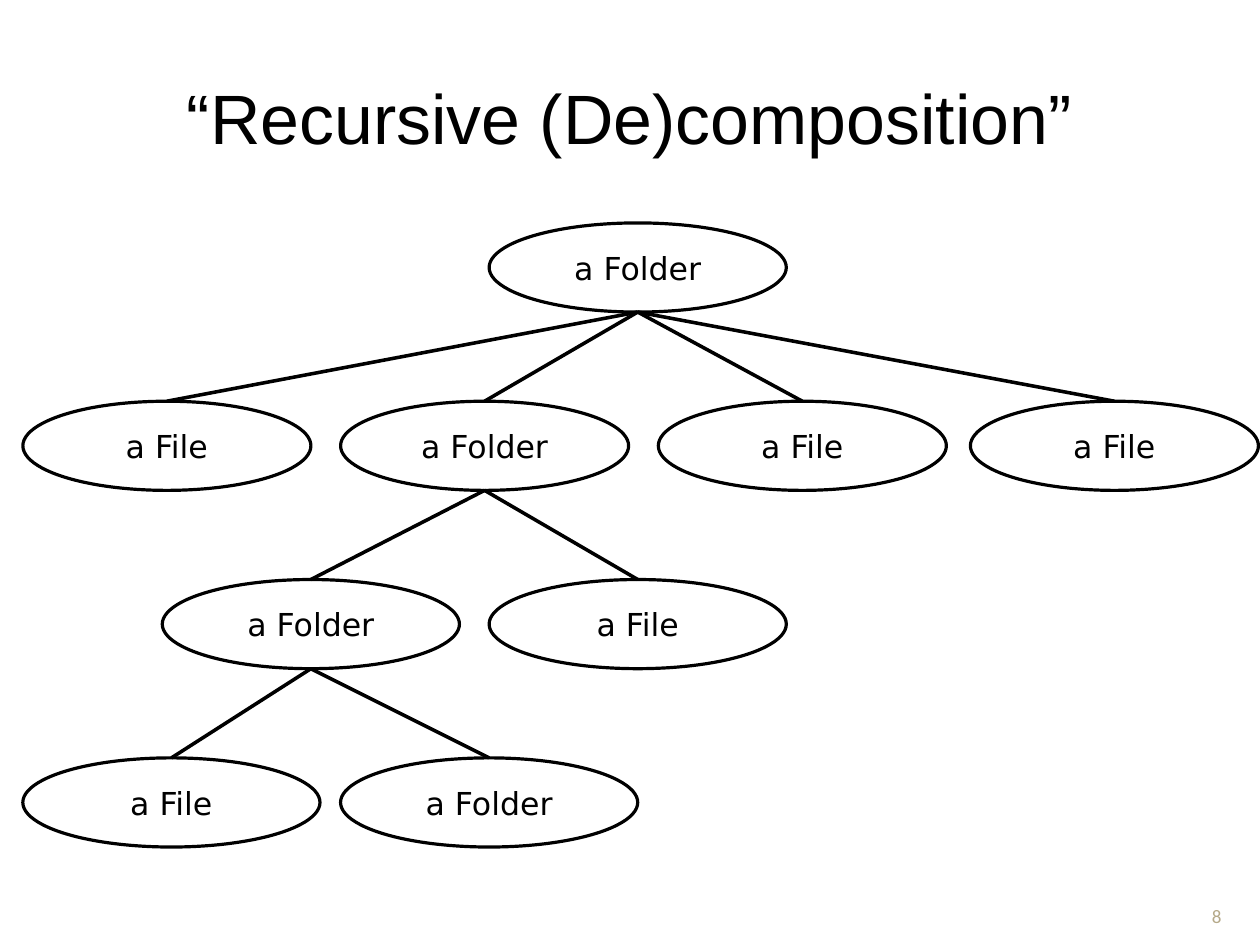
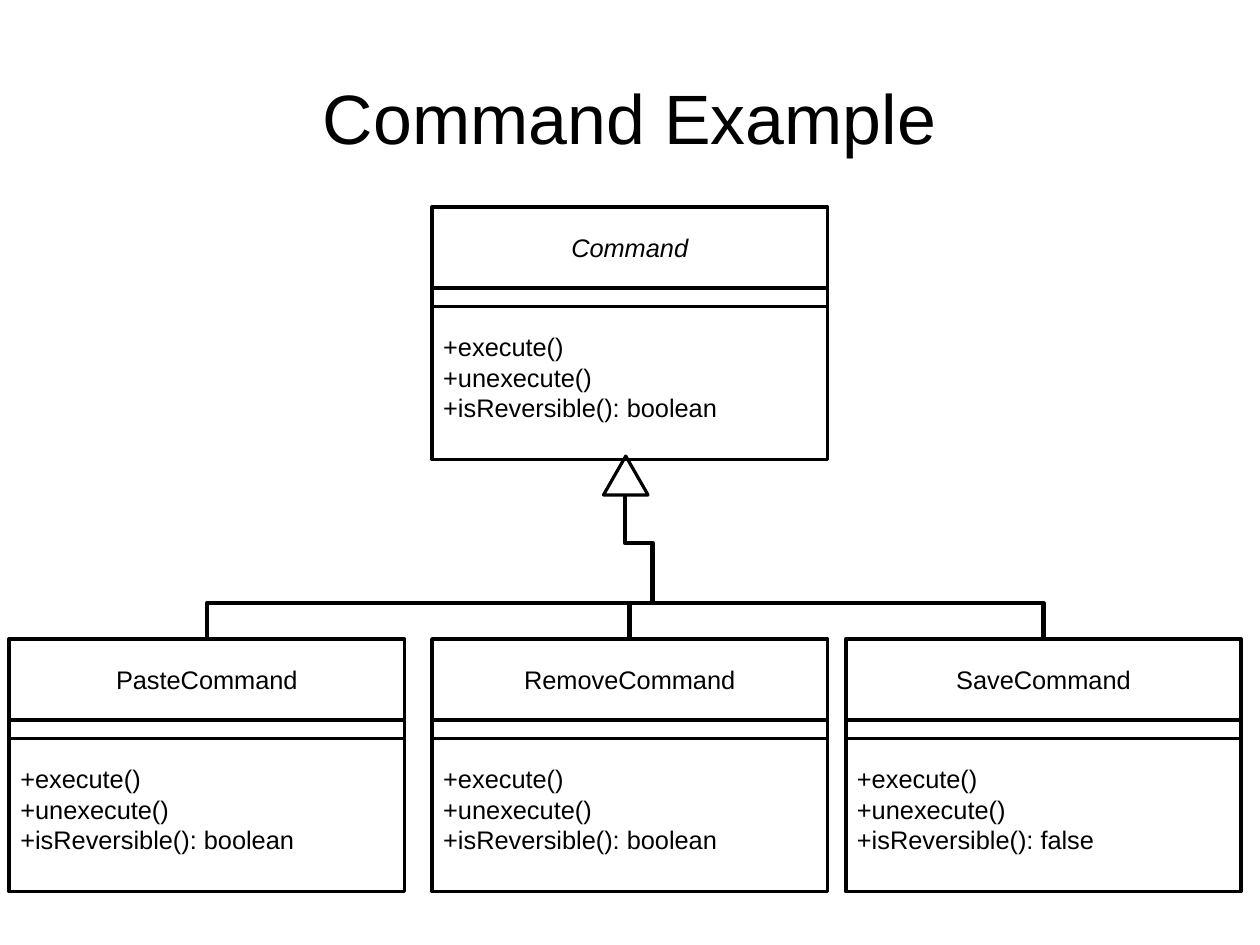
from dataclasses import dataclass

from lxml import etree
from pptx import Presentation
from pptx.dml.color import RGBColor
from pptx.enum.shapes import MSO_CONNECTOR, MSO_SHAPE
from pptx.enum.text import MSO_ANCHOR, PP_ALIGN
from pptx.oxml.ns import qn
from pptx.util import Inches, Pt

STRAIGHT, ELBOW = MSO_CONNECTOR.STRAIGHT, MSO_CONNECTOR.ELBOW
OVAL, RECTANGLE = MSO_SHAPE.OVAL, MSO_SHAPE.RECTANGLE
TRIANGLE = MSO_SHAPE.ISOSCELES_TRIANGLE
LEFT, CENTER = PP_ALIGN.LEFT, PP_ALIGN.CENTER
MIDDLE, BOTTOM = MSO_ANCHOR.MIDDLE, MSO_ANCHOR.BOTTOM
TOP_SITE = 0


@dataclass(frozen=True)
class Theme:
    ink: RGBColor = RGBColor.from_string("000000")
    paper: RGBColor = RGBColor.from_string("FFFFFF")
    muted: RGBColor = RGBColor.from_string("B5A989")
    title_font: str = "Arial"
    node_font: str = "DejaVu Sans"
    number_font: str = "Calibri"
    title_size: float = 44
    node_size: float = 19.9
    class_size: float = 16
    number_size: float = 12
    outline: float = 2
    line: float = 2.25
    elbow: float = 2.83


theme = Theme()


def add_box(shapes, preset, place, lines=(), font=theme.title_font, size=theme.class_size,
            color=theme.ink, align=CENTER, anchor=MIDDLE, wrap=True,
            fill=None, outline=theme.outline):
    """Add a preset shape, or a text box if preset is None, with one paragraph per line."""
    place = [Inches(length) for length in place]
    if preset is None:
        box = shapes.add_textbox(*place)
    else:
        box = shapes.add_shape(preset, *place)
        box.shadow.inherit = False
        box.line.color.rgb = theme.ink
        box.line.width = Pt(outline)
        if fill is None:
            box.fill.background()
        else:
            box.fill.solid()
            box.fill.fore_color.rgb = fill
    frame = box.text_frame
    frame.word_wrap = wrap
    frame.vertical_anchor = anchor
    for index, line in enumerate(lines):
        para = frame.add_paragraph() if index else frame.paragraphs[0]
        para.text = line
        para.alignment = align
        para.font.name = font
        para.font.size = Pt(size)
        para.font.color.rgb = color
    return box


def add_line(shapes, kind, begin, end, width):
    connector = shapes.add_connector(kind, *[Inches(length) for length in (*begin, *end)])
    connector.line.color.rgb = theme.ink
    connector.line.width = Pt(width)
    etree.SubElement(connector.element.spPr, qn("a:effectLst"))
    return connector


deck = Presentation()
deck.slide_width, deck.slide_height = Inches(11.024), Inches(8.267)
pages = []
for title in ("“Recursive (De)composition”", "Command Example"):
    page = deck.slides.add_slide(deck.slide_layouts[6])
    title_box = add_box(page.shapes, None, (0.55, 0.33, 9.92, 1.38), [title],
                        size=theme.title_size)
    frame = title_box.text_frame
    frame.margin_left = frame.margin_right = frame.margin_top = frame.margin_bottom = 0
    pages.append(page)
tree_page, class_page = pages

# Folder tree
add_box(tree_page.shapes, None, (10.37, 7.59, 0.55, 0.57), ["8"], theme.number_font,
        theme.number_size, theme.muted, anchor=BOTTOM)

NODE_HEIGHT = 0.78
LEVEL_TOPS = [1.95 + 2 * NODE_HEIGHT * level for level in range(4)]
# name, label, level, left, width, parent
tree = [
    ("root", "a Folder", 0, 4.28, 2.6, None),
    ("file 1", "a File", 1, 0.2, 2.52, "root"),
    ("folder 2", "a Folder", 1, 2.98, 2.52, "root"),
    ("file 3", "a File", 1, 5.76, 2.52, "root"),
    ("file 4", "a File", 1, 8.49, 2.52, "root"),
    ("folder 2.1", "a Folder", 2, 1.42, 2.6, "folder 2"),
    ("file 2.2", "a File", 2, 4.28, 2.6, "folder 2"),
    ("file 2.1.1", "a File", 3, 0.2, 2.6, "folder 2.1"),
    ("folder 2.1.2", "a Folder", 3, 2.98, 2.6, "folder 2.1"),
]
nodes, tops, bottoms = {}, {}, {}
for name, label, level, left, width, parent in tree:
    top = LEVEL_TOPS[level]
    nodes[name] = add_box(tree_page.shapes, OVAL, (left, top, width, NODE_HEIGHT), [label],
                          theme.node_font, theme.node_size, fill=theme.paper)
    tops[name] = (left + width / 2, top)
    bottoms[name] = (left + width / 2, top + NODE_HEIGHT)
for name, label, level, left, width, parent in tree:
    if parent:
        branch = add_line(tree_page.shapes, STRAIGHT, bottoms[parent], tops[name], theme.line)
        branch.end_connect(nodes[name], TOP_SITE)

# Class diagram
add_box(class_page.shapes, TRIANGLE, (5.28, 3.99, 0.39, 0.34), fill=theme.paper)

CLASS_WIDTH, NAME_HEIGHT, BODY_HEIGHT, DIVIDER_GAP = 3.46, 0.71, 1.5, 0.16
SUBCLASS_TOP = 5.59
classes = [
    ("Command", 3.78, 1.81, "boolean"),
    ("PasteCommand", 0.08, SUBCLASS_TOP, "boolean"),
    ("RemoveCommand", 3.78, SUBCLASS_TOP, "boolean"),
    ("SaveCommand", 7.4, SUBCLASS_TOP, "false"),
]
for name, left, top, result in classes:
    group = class_page.shapes.add_group_shape()
    body_top = top + NAME_HEIGHT
    name_box = add_box(group.shapes, RECTANGLE, (left, top, CLASS_WIDTH, NAME_HEIGHT), [name],
                       wrap=False, outline=theme.line)
    name_box.text_frame.paragraphs[0].font.italic = name == "Command"
    body = add_box(group.shapes, RECTANGLE, (left, body_top, CLASS_WIDTH, BODY_HEIGHT),
                   ["+execute()", "+unexecute()", f"+isReversible(): {result}"],
                   align=LEFT, anchor=BOTTOM, wrap=False, outline=theme.line)
    body.text_frame.margin_bottom = Inches(0.32)
    divider = body_top + DIVIDER_GAP
    add_line(group.shapes, STRAIGHT, (left + CLASS_WIDTH, divider), (left, divider), theme.line)

# Elbows run upwards: each is laid out sideways, then turned a quarter to the left
junction = (5.71, 4.96)
elbows = [(junction, (5.47, 4.33), 33200)]
for name, left, top, result in classes[1:]:
    elbows.append(((left + CLASS_WIDTH / 2, top), junction, 49700))
for (x1, y1), (x2, y2), bend in elbows:
    middle_x, middle_y = (x1 + x2) / 2, (y1 + y2) / 2
    half_rise, half_run = (y1 - y2) / 2, (x1 - x2) / 2
    elbow = add_line(class_page.shapes, ELBOW,
                     (middle_x - half_rise, middle_y + half_run),
                     (middle_x + half_rise, middle_y - half_run), theme.elbow)
    properties = elbow.element.spPr
    properties.find(qn("a:xfrm")).set("rot", str(270 * 60000))
    adjustments = properties.find(qn("a:prstGeom")).find(qn("a:avLst"))
    etree.SubElement(adjustments, qn("a:gd"), name="adj1", fmla=f"val {bend}")

deck.save("out.pptx")
